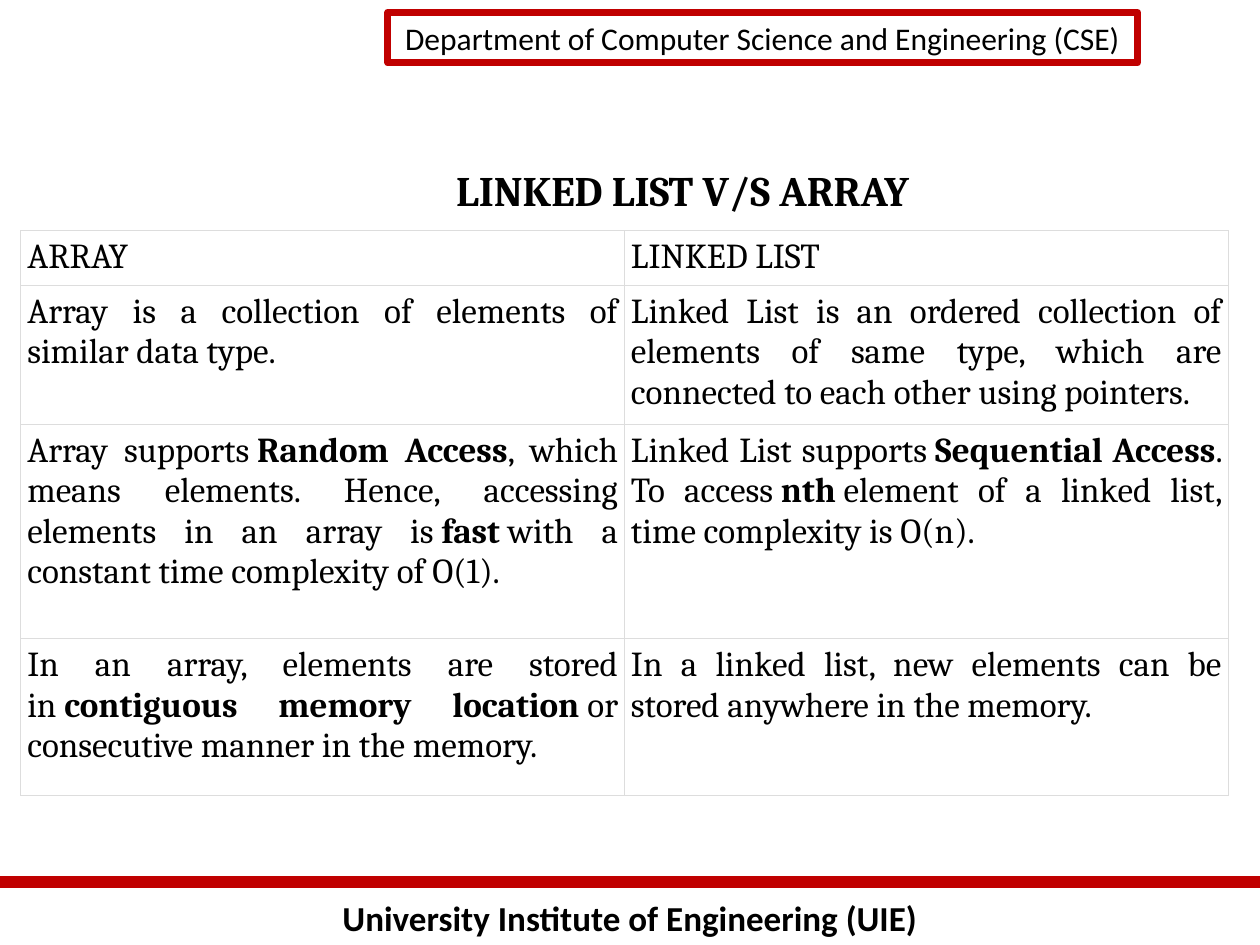
from dataclasses import dataclass

from lxml.etree import SubElement
from pptx import Presentation
from pptx.dml.color import RGBColor
from pptx.enum.shapes import MSO_CONNECTOR, MSO_SHAPE
from pptx.enum.text import MSO_ANCHOR, PP_ALIGN
from pptx.oxml.ns import qn
from pptx.util import Cm, Pt


@dataclass(frozen=True)
class Theme:
    text: RGBColor = RGBColor(0, 0, 0)
    accent: RGBColor = RGBColor(0xC0, 0, 0)
    grid: RGBColor = RGBColor(0xDD, 0xDD, 0xDD)
    label_font: str = "Calibri"
    body_font: str = "Cambria"
    header_size: int = 18
    body_size: int = 20
    title_size: int = 24
    grid_width: float = 0.75


@dataclass(frozen=True)
class Box:
    left: float
    top: float
    width: float
    height: float

    def lengths(self) -> tuple:
        return Cm(self.left), Cm(self.top), Cm(self.width), Cm(self.height)


@dataclass(frozen=True)
class Comparison:
    array: str
    linked_list: str
    height: float


THEME = Theme()
HEADER_BOX = Box(7.82, 0.25, 15.11, 1.02)
TITLE_BOX = Box(2.75, 2.97, 22.02, 1.7)
TABLE_BOX = Box(0.42, 4.65, 24.34, 11.1)
FOOTER_BOX = Box(0, 17.93, 25.4, 1.12)
FOOTER_LINE_TOP = 17.78
CELL_MARGIN = Cm(0.13)
BOLD_MARK = "**"

COMPARISONS = (
    Comparison("ARRAY", "LINKED LIST", 1.04),
    Comparison(
        "Array is a collection of elements of similar data type.",
        "Linked List is an ordered collection of elements of same type, "
        "which are connected to each other using pointers.",
        2.59,
    ),
    Comparison(
        "Array supports\u00a0**Random Access**, which means elements. Hence, accessing "
        "elements in an array is\u00a0**fast**\u00a0with a constant time complexity of\u00a0O(1).",
        "Linked List supports\u00a0**Sequential Access**. To access\u00a0**nth**\u00a0element "
        "of a linked list, time complexity is\u00a0O(n).",
        4.32,
    ),
    Comparison(
        "In an array, elements are stored in\u00a0**contiguous memory location**"
        "\u00a0or consecutive manner in the memory.",
        "In a linked list, new elements can be stored anywhere in the memory.",
        3.15,
    ),
)


def format_run(run, font_name: str, size: int, bold: bool = False) -> None:
    run.font.name = font_name
    run.font.size = Pt(size)
    run.font.bold = bold
    run.font.color.rgb = THEME.text


def write_label(shape, text: str, font_name: str, size: int, bold: bool = False) -> None:
    shape.text_frame.text = text
    shape.text_frame.vertical_anchor = MSO_ANCHOR.MIDDLE
    paragraph = shape.text_frame.paragraphs[0]
    paragraph.alignment = PP_ALIGN.CENTER
    format_run(paragraph.runs[0], font_name, size, bold)


def place_title(slide) -> None:
    title = slide.shapes.title
    title.left, title.top, title.width, title.height = TITLE_BOX.lengths()
    write_label(title, "LINKED LIST V/S ARRAY", THEME.body_font, THEME.title_size, True)


def add_header(slide) -> None:
    header = slide.shapes.add_shape(MSO_SHAPE.RECTANGLE, *HEADER_BOX.lengths())
    header.shadow.inherit = False
    header.fill.background()
    header.line.color.rgb = THEME.accent
    header.line.width = Pt(4)
    header.text_frame.word_wrap = False
    write_label(
        header,
        "Department of Computer Science and Engineering (CSE)",
        THEME.label_font,
        THEME.header_size,
    )


def add_footer(slide) -> None:
    footer = slide.shapes.add_textbox(*FOOTER_BOX.lengths())
    footer.text_frame.word_wrap = True
    write_label(
        footer,
        "University Institute of Engineering (UIE)",
        THEME.label_font,
        THEME.body_size,
        True,
    )
    top = Cm(FOOTER_LINE_TOP)
    line = slide.shapes.add_connector(
        MSO_CONNECTOR.STRAIGHT, 0, top, Cm(FOOTER_BOX.width), top
    )
    line.line.color.rgb = THEME.accent
    line.line.width = Pt(7)
    SubElement(line.element.spPr, qn("a:effectLst"))


def add_borders(cell) -> None:
    properties = cell._tc.get_or_add_tcPr()
    for side in ("lnL", "lnR", "lnT", "lnB"):
        border = SubElement(properties, qn(f"a:{side}"), w=str(Pt(THEME.grid_width)))
        fill = SubElement(border, qn("a:solidFill"))
        SubElement(fill, qn("a:srgbClr"), val=str(THEME.grid))


def fill_cell(cell, text: str) -> None:
    cell.margin_left = cell.margin_right = CELL_MARGIN
    cell.margin_top = cell.margin_bottom = CELL_MARGIN
    cell.vertical_anchor = MSO_ANCHOR.TOP
    add_borders(cell)
    cell.fill.background()
    paragraph = cell.text_frame.paragraphs[0]
    paragraph.alignment = PP_ALIGN.JUSTIFY
    for position, part in enumerate(text.split(BOLD_MARK)):
        run = paragraph.add_run()
        run.text = part
        format_run(run, THEME.body_font, THEME.body_size, position % 2 == 1)


def add_comparison_table(slide) -> None:
    table = slide.shapes.add_table(len(COMPARISONS), 2, *TABLE_BOX.lengths()).table
    table.first_row = False
    table.horz_banding = False
    for row, comparison in zip(table.rows, COMPARISONS):
        row.height = Cm(comparison.height)
        for cell, text in zip(row.cells, (comparison.array, comparison.linked_list)):
            fill_cell(cell, text)


def build() -> None:
    presentation = Presentation()
    presentation.slide_width = Cm(25.4)
    presentation.slide_height = Cm(19.05)
    slide = presentation.slides.add_slide(presentation.slide_layouts[5])
    add_footer(slide)
    add_header(slide)
    place_title(slide)
    add_comparison_table(slide)
    presentation.save("out.pptx")


build()
